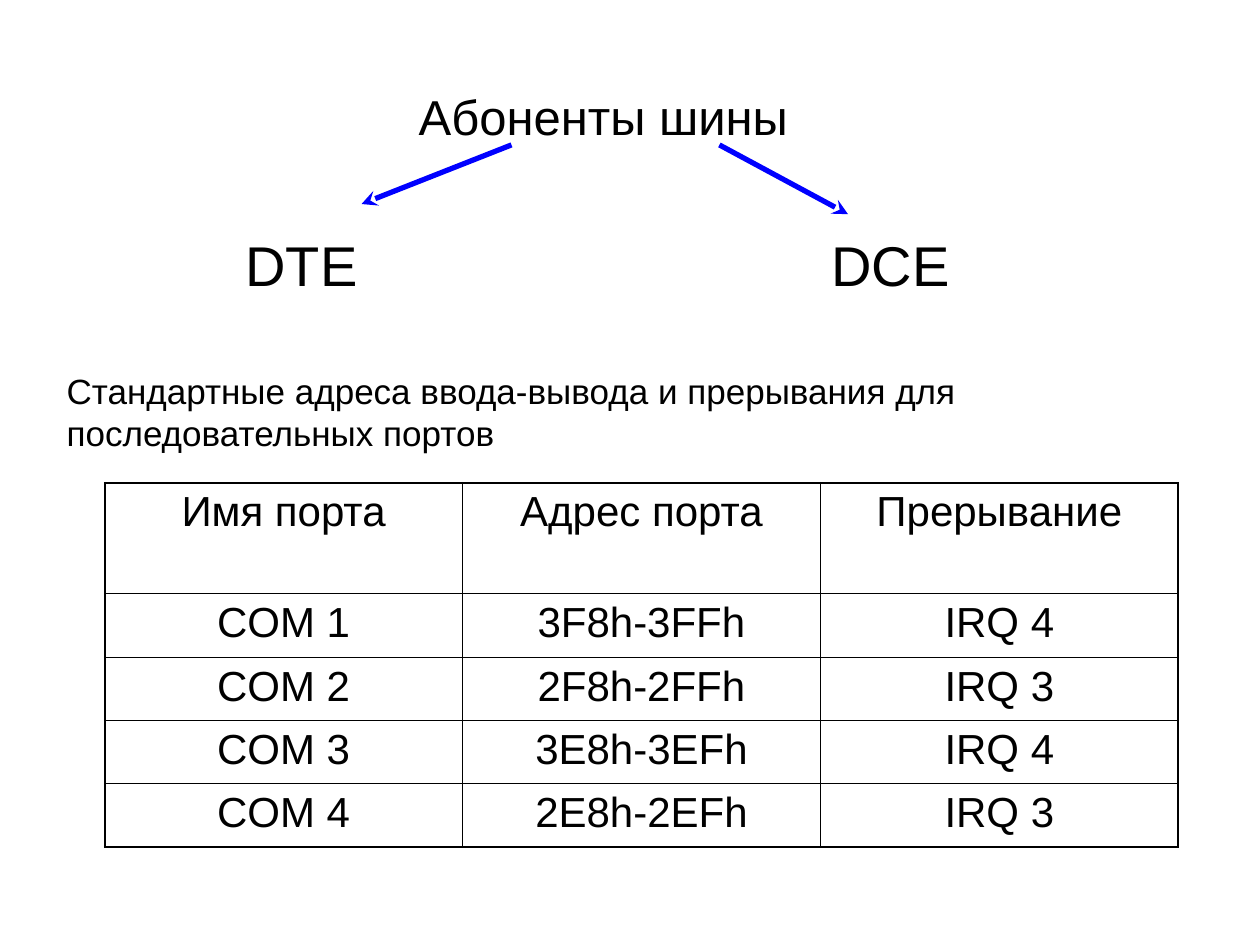
from dataclasses import dataclass
from typing import NamedTuple

from lxml.etree import SubElement
from pptx import Presentation
from pptx.dml.color import RGBColor
from pptx.enum.shapes import MSO_CONNECTOR
from pptx.enum.text import MSO_ANCHOR, MSO_AUTO_SIZE, PP_ALIGN
from pptx.oxml.ns import qn
from pptx.util import Pt


@dataclass(frozen=True)
class Theme:
    font: str = "Arial"
    text: RGBColor = RGBColor(0, 0, 0)
    arrow: RGBColor = RGBColor(0, 0, 255)
    title_size: float = 28
    label_size: float = 32
    caption_size: float = 20
    cell_size: float = 24
    arrow_width: float = 3
    outer_border: float = 1.08
    inner_border: float = 0.45
    line_height: float = 1.2


class Label(NamedTuple):
    text: str
    left: float
    top: float
    width: float
    height: float
    size: float


class Arrow(NamedTuple):
    start_x: float
    start_y: float
    end_x: float
    end_y: float


THEME = Theme()

LABELS = [
    Label("DTE", 133.2, 128.2, 102.2, 46, THEME.label_size),
    Label("DCE", 468, 128.2, 102.2, 46, THEME.label_size),
    Label("Стандартные адреса ввода-вывода и прерывания для последовательных портов",
          31, 207.4, 652.3, 55.4, THEME.caption_size),
]
ARROWS = [
    Arrow(292.3, 82.8, 206.6, 116.6),
    Arrow(411.1, 82.8, 484.6, 122.4),
]
PORT_ROWS = [
    ("Имя порта", "Адрес порта", "Прерывание"),
    ("COM 1", "3F8h-3FFh", "IRQ 4"),
    ("COM 2", "2F8h-2FFh", "IRQ 3"),
    ("COM 3", "3E8h-3EFh", "IRQ 4"),
    ("COM 4", "2E8h-2EFh", "IRQ 3"),
]
HEADER_HEIGHT, ROW_HEIGHT, COLUMN_WIDTH = 63.4, 36.2, 204.5


def write_text(frame, text: str, size: float, alignment=PP_ALIGN.LEFT) -> None:
    paragraph = frame.paragraphs[0]
    paragraph.alignment = alignment
    paragraph.space_before = Pt(0)
    run = paragraph.add_run()
    run.text = text
    run.font.name = THEME.font
    run.font.size = Pt(size)
    run.font.color.rgb = THEME.text


def fill_title(slide) -> None:
    title = slide.shapes.title
    title.left, title.top = Pt(190), Pt(43.2)
    title.width, title.height = Pt(318.2), Pt(59)
    frame = title.text_frame
    frame.word_wrap = True
    frame.auto_size = MSO_AUTO_SIZE.NONE
    frame.vertical_anchor = MSO_ANCHOR.TOP
    frame.margin_top = Pt(6)
    frame.margin_right = Pt(16)
    write_text(frame, "Абоненты шины", THEME.title_size, PP_ALIGN.CENTER)


def add_label(slide, label: Label) -> None:
    shape = slide.shapes.add_textbox(Pt(label.left), Pt(label.top),
                                     Pt(label.width), Pt(label.height))
    frame = shape.text_frame
    frame.word_wrap = True
    frame.auto_size = MSO_AUTO_SIZE.SHAPE_TO_FIT_TEXT
    write_text(frame, label.text, label.size)
    frame.paragraphs[0].line_spacing = Pt(label.size * THEME.line_height)


def add_arrow(slide, arrow: Arrow) -> None:
    connector = slide.shapes.add_connector(
        MSO_CONNECTOR.STRAIGHT, Pt(arrow.start_x), Pt(arrow.start_y),
        Pt(arrow.end_x), Pt(arrow.end_y))
    connector.line.color.rgb = THEME.arrow
    connector.line.width = Pt(THEME.arrow_width)
    SubElement(connector.line._get_or_add_ln(), qn("a:tailEnd"), type="stealth")
    SubElement(connector._element.spPr, qn("a:effectLst"))


def add_borders(cell, outer_sides: dict[str, bool]) -> None:
    properties = cell._tc.get_or_add_tcPr()
    for position, (side, is_outer) in enumerate(outer_sides.items()):
        width = THEME.outer_border if is_outer else THEME.inner_border
        line = properties.makeelement(qn(f"a:{side}"), {"w": str(Pt(width))})
        fill = SubElement(line, qn("a:solidFill"))
        SubElement(fill, qn("a:srgbClr"), val=str(THEME.text))
        properties.insert(position, line)


def add_port_table(slide) -> None:
    row_count, column_count = len(PORT_ROWS), len(PORT_ROWS[0])
    height = HEADER_HEIGHT + ROW_HEIGHT * (row_count - 1)
    table = slide.shapes.add_table(
        row_count, column_count, Pt(59.8), Pt(275.8),
        Pt(COLUMN_WIDTH * column_count), Pt(height)).table
    table.first_row = table.horz_banding = False
    for column in table.columns:
        column.width = Pt(COLUMN_WIDTH)
    for row_index, texts in enumerate(PORT_ROWS):
        table.rows[row_index].height = Pt(ROW_HEIGHT if row_index else HEADER_HEIGHT)
        for column_index, text in enumerate(texts):
            cell = table.cell(row_index, column_index)
            cell.fill.background()
            write_text(cell.text_frame, text, THEME.cell_size, PP_ALIGN.CENTER)
            add_borders(cell, {
                "lnL": column_index == 0,
                "lnR": column_index == column_count - 1,
                "lnT": row_index == 0,
                "lnB": row_index == row_count - 1,
            })


def main() -> None:
    presentation = Presentation()
    presentation.slide_width, presentation.slide_height = Pt(720), Pt(540)
    slide = presentation.slides.add_slide(presentation.slide_layouts[5])

    # Bus members: heading, two device kinds and the arrows to them
    fill_title(slide)
    for label in LABELS:
        add_label(slide, label)
    for arrow in ARROWS:
        add_arrow(slide, arrow)

    # Serial port addresses and interrupts
    add_port_table(slide)
    presentation.save("out.pptx")


if __name__ == "__main__":
    main()
